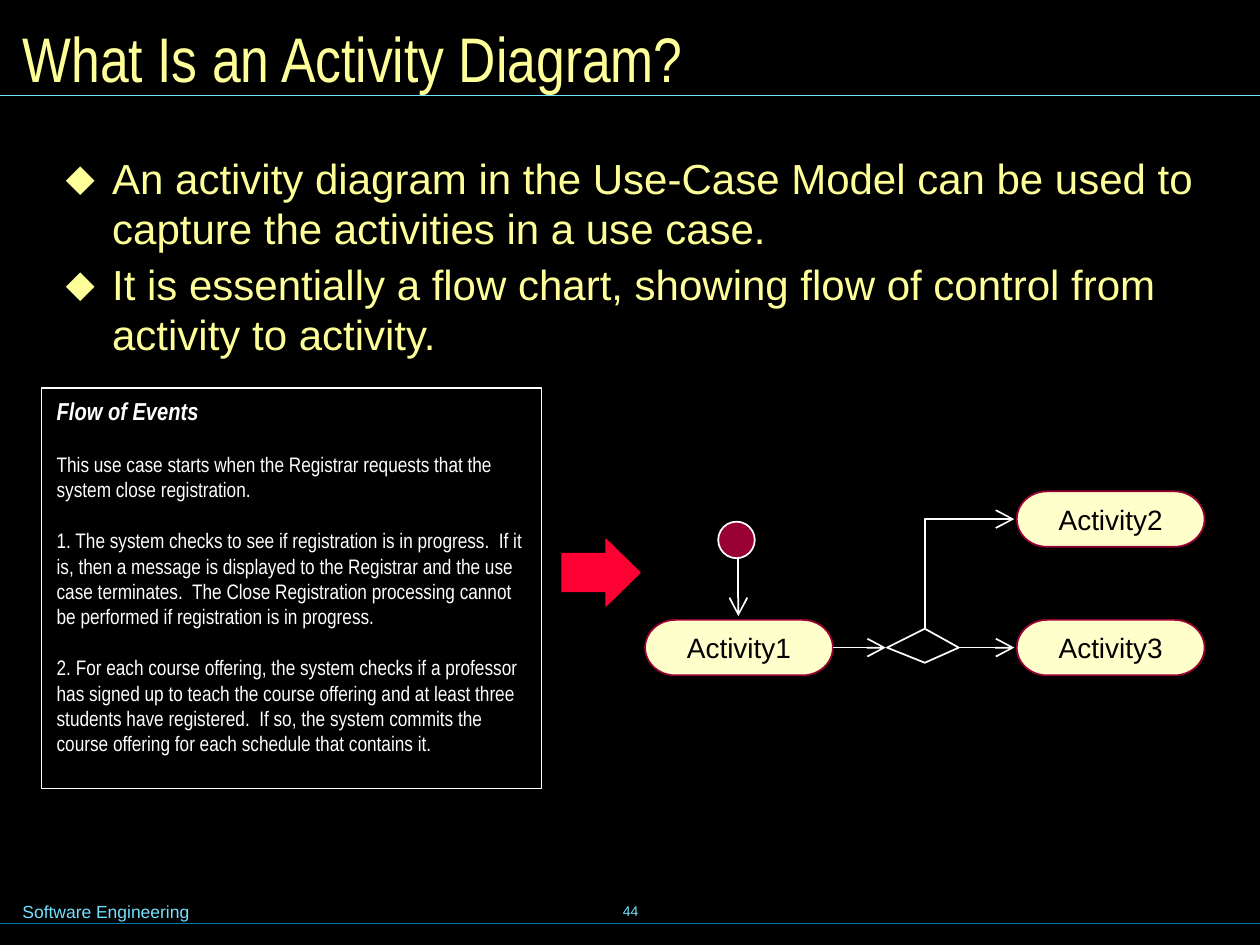
from lxml import etree
from pptx import Presentation
from pptx.dml.color import RGBColor
from pptx.enum.shapes import MSO_CONNECTOR, MSO_SHAPE
from pptx.enum.text import MSO_ANCHOR, MSO_AUTO_SIZE, PP_ALIGN
from pptx.oxml.ns import qn
from pptx.util import Inches, Pt

LEFT, CENTER = PP_ALIGN.LEFT, PP_ALIGN.CENTER
TOP, MIDDLE = MSO_ANCHOR.TOP, MSO_ANCHOR.MIDDLE
STRAIGHT = MSO_CONNECTOR.STRAIGHT
NO_FIT = MSO_AUTO_SIZE.NONE
PILL = MSO_SHAPE.FLOWCHART_TERMINATOR

COLORS = {name: RGBColor.from_string(code) for name, code in {
    "back": "000000", "text": "FFFF99", "white": "FFFFFF", "sky": "73E1FF",
    "teal": "007E9F", "red": "FF0033", "wine": "990033", "cream": "FFFFCC",
}.items()}


def paint(shape, fill, line, width):
    """Set fill and outline, without shadow."""
    shape.shadow.inherit = False
    if fill:
        shape.fill.solid()
        shape.fill.fore_color.rgb = COLORS[fill]
    else:
        shape.fill.background()
    shape.line.color.rgb = COLORS[line]
    shape.line.width = Pt(width)


def write(shape, texts, size, color, font="Arial", align=LEFT, anchor=TOP,
          pad=(0.1, 0.05), before=0, after=0, bullet=None):
    """Fill a text frame with evenly formatted paragraphs."""
    frame = shape.text_frame
    frame.word_wrap = True
    frame.auto_size = NO_FIT
    frame.vertical_anchor = anchor
    frame.margin_left = frame.margin_right = Inches(pad[0])
    frame.margin_top = frame.margin_bottom = Inches(pad[1])
    frame.text = "\n".join(texts)
    for i, para in enumerate(frame.paragraphs):
        if bullet:
            props = para._p.get_or_add_pPr()
            props.set("marL", str(Inches(0.37)))
            props.set("indent", str(-Inches(0.37)))
            tint = etree.SubElement(props, qn("a:buClr"))
            etree.SubElement(tint, qn("a:srgbClr"), val=str(COLORS[color]))
            etree.SubElement(props, qn("a:buChar"), char=bullet)
        para.alignment = align
        para.space_before = Pt(before if i else 0)
        para.space_after = Pt(after)
        para.font.name = font
        para.font.size = Pt(size)
        para.font.color.rgb = COLORS[color]


deck = Presentation()
deck.slide_width, deck.slide_height = Inches(10), Inches(7.5)
slide = deck.slides.add_slide(deck.slide_layouts[1])
slide.background.fill.solid()
slide.background.fill.fore_color.rgb = COLORS["back"]
shapes = slide.shapes

# Title and bullet list
title, body = slide.placeholders
for item, box in ((title, (0.08, 0.08, 9.84, 0.75)),
                  (body, (0.4, 1.15, 9.27, 5.52))):
    item.left, item.top, item.width, item.height = map(Inches, box)
write(title, ["What Is an Activity Diagram?"], 36, "text", "Arial Narrow",
      anchor=MIDDLE)
write(body, [
    "An activity diagram in the Use-Case Model can be used to capture "
    "the activities in a use case.",
    "It is essentially a flow chart, showing flow of control from "
    "activity to activity.",
], 24, "text", pad=(0.12, 0.06), before=3, bullet="⬥")

# Footer
foot = shapes.add_textbox(Inches(0.08), Inches(7.1), Inches(2.95), Inches(0.27))
write(foot, ["Software Engineering"], 10, "sky")
page = shapes.add_textbox(Inches(3.42), Inches(6.98), Inches(3.17), Inches(0.5))
write(page, ["44"], 8, "sky", align=CENTER, anchor=MIDDLE)

# Flow of events
flow = shapes.add_shape(MSO_SHAPE.RECTANGLE, Inches(0.33), Inches(3.08),
                        Inches(3.97), Inches(3.18))
paint(flow, None, "white", 0.75)
write(flow, [
    "Flow of Events",
    "This use case starts when the Registrar requests that the system "
    "close registration.",
    "1. The system checks to see if registration is in progress.  If it is, "
    "then a message is displayed to the Registrar and the use case "
    "terminates.  The Close Registration processing cannot be performed if "
    "registration is in progress.",
    "2. For each course offering, the system checks if a professor has "
    "signed up to teach the course offering and at least three students "
    "have registered.  If so, the system commits the course offering for "
    "each schedule that contains it.",
], 12, "white", "Arial Narrow", pad=(0.12, 0.06), before=12, after=3)
head = flow.text_frame.paragraphs[0].font
head.size, head.bold, head.italic = Pt(14), True, True

# Block arrow and start node
block = shapes.add_shape(MSO_SHAPE.RIGHT_ARROW, Inches(4.46), Inches(4.28),
                         Inches(0.62), Inches(0.53))
block.adjustments[0], block.adjustments[1] = 0.57, 0.51
paint(block, "red", "red", 0.75)
start = shapes.add_shape(MSO_SHAPE.OVAL, Inches(5.7), Inches(4.14),
                         Inches(0.29), Inches(0.29))
paint(start, "wine", "white", 1)

# Activities
for label, x, y in (("Activity1", 5.12, 4.92), ("Activity2", 8.07, 3.9),
                    ("Activity3", 8.07, 4.92)):
    pill = shapes.add_shape(PILL, Inches(x), Inches(y),
                            Inches(1.49), Inches(0.44))
    paint(pill, "cream", "wine", 1)
    write(pill, [label], 16, "back", align=CENTER, anchor=MIDDLE, pad=(0, 0))

# Decision and the bent path to Activity2
bent = None
for points, close in (
        ([(7.04, 5.14), (7.34, 4.99), (7.61, 5.14), (7.34, 5.26)], True),
        ([(7.34, 4.99), (7.34, 4.12), (8.05, 4.12)], False)):
    spots = [(Inches(x), Inches(y)) for x, y in points]
    pen = shapes.build_freeform(*spots[0])
    pen.add_line_segments(spots[1:], close=close)
    bent = pen.convert_to_shape()
    paint(bent, None, "white", 1)
tips = [bent]

# Rules and straight flows
for x1, y1, x2, y2, color, width, tip in (
        (0, 0.76, 10, 0.76, "sky", 0.75, False),
        (0, 7.33, 10, 7.33, "teal", 0.75, False),
        (5.86, 4.43, 5.86, 4.89, "white", 1, True),
        (6.61, 5.14, 7.03, 5.14, "white", 1, True),
        (7.61, 5.14, 8.05, 5.14, "white", 1, True)):
    link = shapes.add_connector(STRAIGHT, *map(Inches, (x1, y1, x2, y2)))
    link.line.color.rgb = COLORS[color]
    link.line.width = Pt(width)
    etree.SubElement(link._element.spPr, qn("a:effectLst"))
    if tip:
        tips.append(link)

# Arrowheads
for item in tips:
    etree.SubElement(item.line._get_or_add_ln(), qn("a:tailEnd"),
                     type="arrow", w="lg", len="lg")

deck.save("out.pptx")
